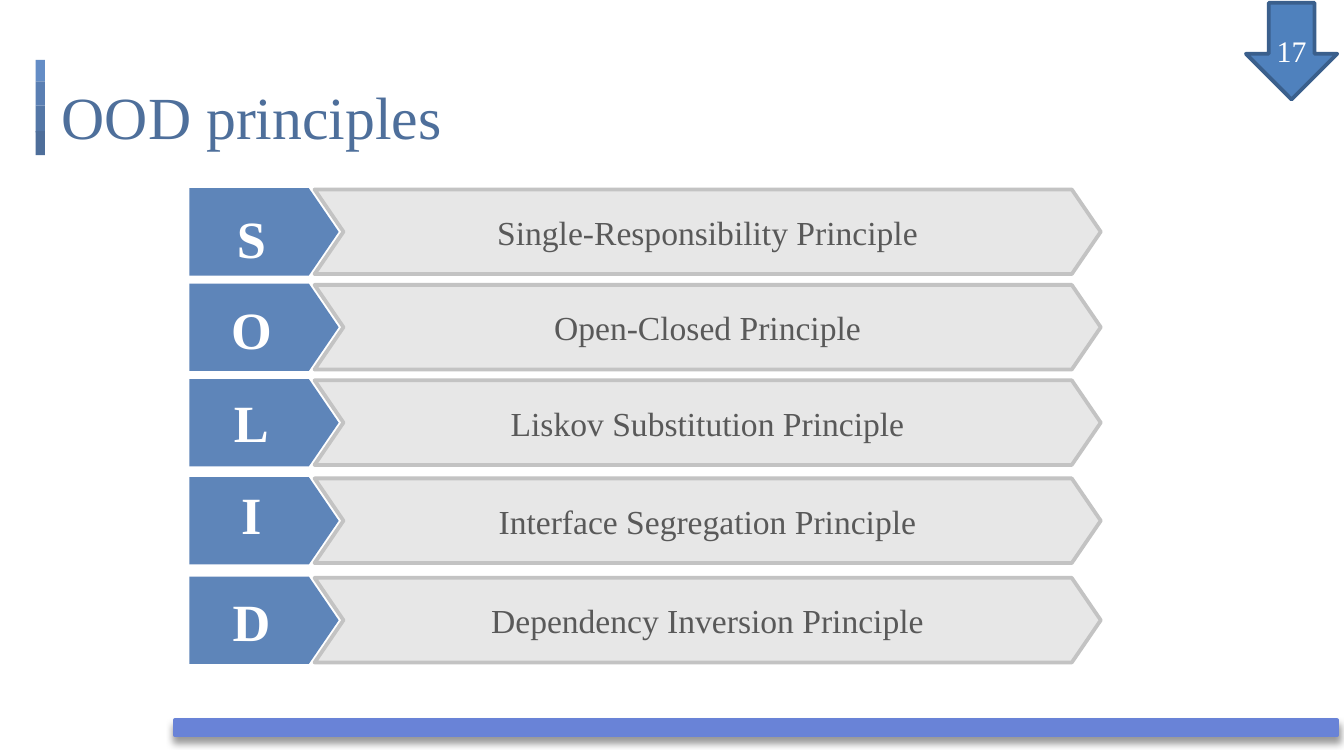
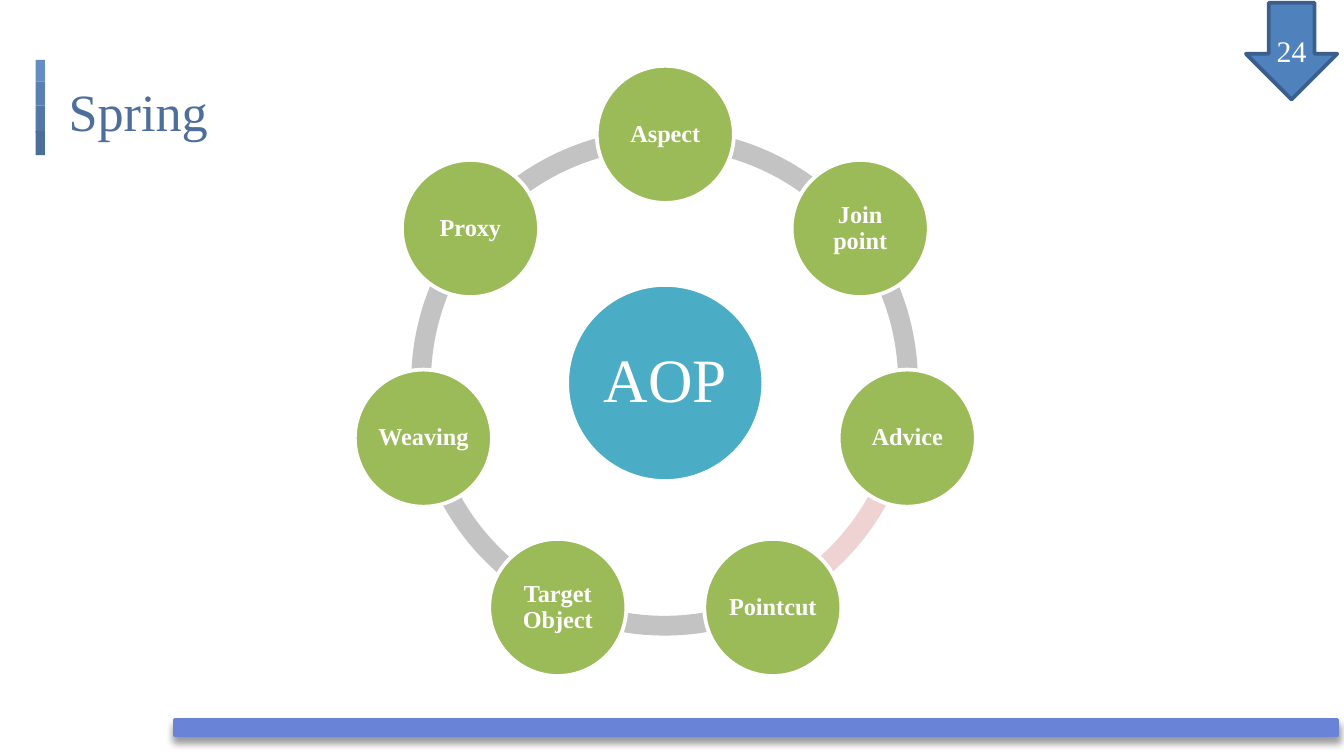
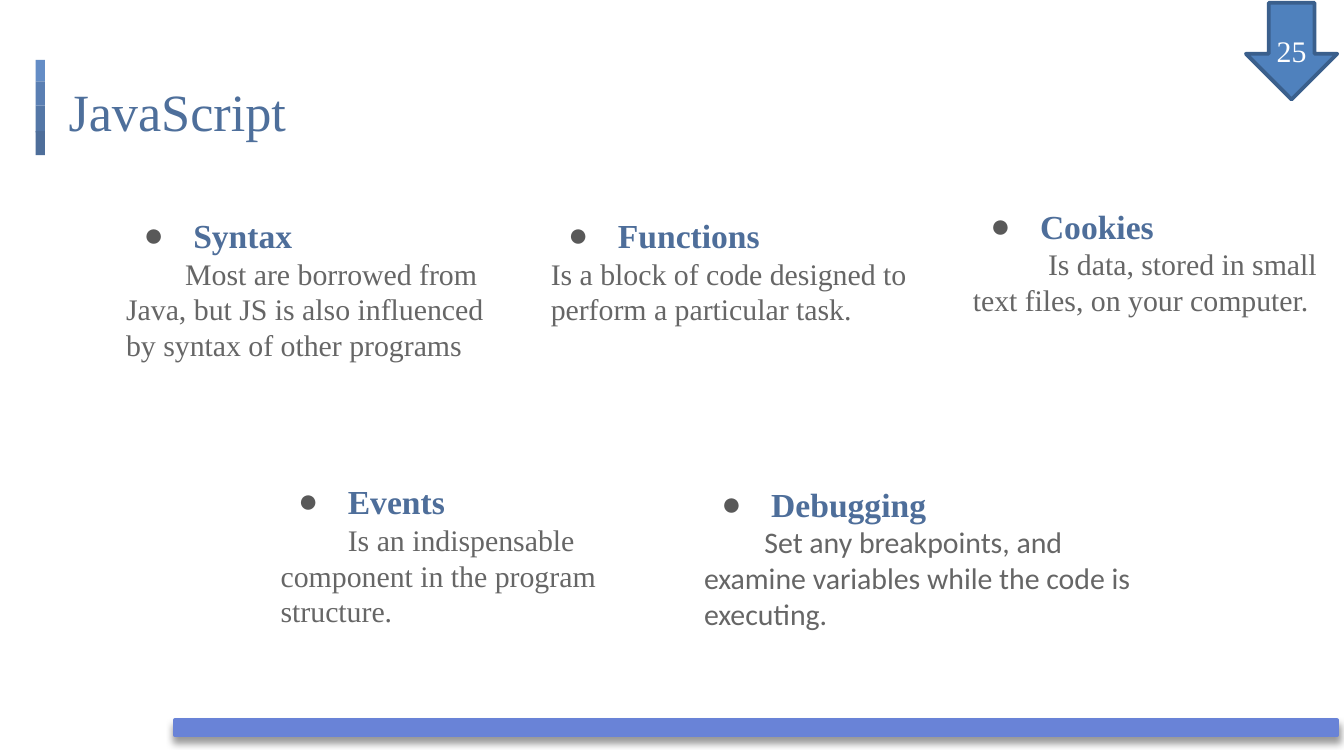
from dataclasses import dataclass
from math import cos, radians, sin

from pptx import Presentation
from pptx.dml.color import RGBColor
from pptx.enum.shapes import MSO_SHAPE
from pptx.enum.text import MSO_ANCHOR, MSO_AUTO_SIZE, PP_ALIGN
from pptx.oxml.ns import qn
from pptx.oxml.xmlchemy import OxmlElement
from pptx.shapes.autoshape import Shape
from pptx.slide import Slide
from pptx.text.text import TextFrame, _Paragraph
from pptx.util import Emu, Pt

# Shared scale, fonts and colours
PX = 9144  # 100 px to the inch
SERIF, SANS = "Times New Roman", "Calibri"
WHITE = "FFFFFF"
NAVY = "4E6E9A"
TITLE = "4E6F9B"
BAND = "6983D7"
BLUE = "5E85B9"
GREEN = "9BBB59"
TEAL = "4BACC6"
PINK = "EFD3D2"
SILVER = "C3C3C3"
PALE = "E7E7E7"
DARK = "595959"
GREY = "666666"


@dataclass(frozen=True)
class Box:
    left: int
    top: int
    width: int
    height: int


@dataclass(frozen=True)
class Style:
    size: float
    color: str
    bold: bool = False
    font: str = SERIF


@dataclass(frozen=True)
class Stripe:
    box: Box
    color: str


@dataclass(frozen=True)
class Row:
    letter: str
    name: str
    top: int
    text_top: int


@dataclass(frozen=True)
class Note:
    head: str
    body: str
    box: Box
    indent: int
    font: str = SERIF


STRIPES = [
    Stripe(Box(20, 85, 20, 7), "5477A7"),
    Stripe(Box(21, 103, 18, 7), NAVY),
    Stripe(Box(22, 49, 16, 7), "648DC6"),
    Stripe(Box(21, 66, 18, 7), "5A7FB3"),
]

ROWS = [
    Row("S", "Single-Responsibility Principle", 141, 155),
    Row("O", "Open-Closed Principle", 212, 223),
    Row("L", "Liskov Substitution Principle", 283, 292),
    Row("I", "Interface Segregation Principle", 356, 361),
    Row("D", "Dependency Inversion Principle", 430, 440),
]

NODES = ["Aspect", "Join point", "Advice", "Pointcut",
         "Target Object", "Weaving", "Proxy"]

NOTES = [
    Note("Functions", "Is a block of code designed to perform a particular task.",
         Box(400, 150, 296, 187), 0),
    Note("Events", "Is an indispensable component in the program structure.",
         Box(199, 348, 296, 187), 50),
    Note("Syntax", "Most are borrowed from Java, but JS is also influenced "
         "by syntax of other programs", Box(84, 150, 296, 187), 44),
    Note("Cookies", "Is data, stored in small text files, on your computer.",
         Box(714, 143, 296, 187), 56),
    Note("Debugging", "Set any breakpoints, and examine variables while the "
         "code is executing.", Box(514, 350, 356, 193), 45, SANS),
]


# Helpers
def px(value: float) -> Emu:
    return Emu(round(value * PX))


def place(box: Box) -> tuple[Emu, Emu, Emu, Emu]:
    return px(box.left), px(box.top), px(box.width), px(box.height)


def rgb(color: str) -> RGBColor:
    return RGBColor.from_string(color)


def frame_up(frame: TextFrame, pad_x: int = 10, pad_y: int = 10,
             anchor: MSO_ANCHOR = MSO_ANCHOR.TOP) -> None:
    frame.word_wrap = True
    frame.auto_size = MSO_AUTO_SIZE.NONE
    frame.vertical_anchor = anchor
    frame.margin_left = frame.margin_right = px(pad_x)
    frame.margin_top = frame.margin_bottom = px(pad_y)


def write(para: _Paragraph, text: str, style: Style) -> None:
    run = para.add_run()
    run.text = text
    run.font.name = style.font
    run.font.size = Pt(style.size)
    run.font.bold = style.bold
    run.font.color.rgb = rgb(style.color)


def draw(slide: Slide, kind: MSO_SHAPE, box: Box, fill: str,
         line: str | None = None, turn: int = 0,
         tune: tuple[float, ...] = ()) -> Shape:
    shape = slide.shapes.add_shape(kind, *place(box))
    shape.shadow.inherit = False
    shape.rotation = turn
    shape.fill.solid()
    shape.fill.fore_color.rgb = rgb(fill)
    if line:
        shape.line.color.rgb = rgb(line)
        shape.line.width = Pt(2)
    else:
        shape.line.fill.background()
    for index, value in enumerate(tune):
        shape.adjustments[index] = value
    return shape


def label(shape: Shape, text: str, style: Style, pad_x: int, pad_y: int,
          spacing: float | None = None) -> None:
    frame_up(shape.text_frame, pad_x, pad_y, MSO_ANCHOR.MIDDLE)
    para = shape.text_frame.paragraphs[0]
    para.alignment = PP_ALIGN.CENTER
    para.line_spacing = spacing
    write(para, text, style)


def line_box(slide: Slide, box: Box, text: str, style: Style,
             align: PP_ALIGN) -> None:
    frame = slide.shapes.add_textbox(*place(box)).text_frame
    frame_up(frame, anchor=MSO_ANCHOR.MIDDLE)
    frame.paragraphs[0].alignment = align
    write(frame.paragraphs[0], text, style)


def cast(shape: Shape) -> None:
    """Drop a soft shadow straight down."""
    shade = OxmlElement("a:outerShdw")
    for key, value in (("blurRad", Pt(4)), ("dist", Pt(3)),
                       ("dir", 90 * 60000), ("rotWithShape", 0)):
        shade.set(key, str(int(value)))
    color = OxmlElement("a:srgbClr")
    color.set("val", "000000")
    alpha = OxmlElement("a:alpha")
    alpha.set("val", "40000")
    color.append(alpha)
    shade.append(color)
    shape._element.spPr.find(qn("a:effectLst")).append(shade)


def indent(para: _Paragraph, left: int, first: int) -> None:
    props = para._p.get_or_add_pPr()
    props.set("marL", str(px(left)))
    props.set("indent", str(px(first)))


def bullet(para: _Paragraph) -> None:
    indent(para, 50, -37)
    tint = OxmlElement("a:buClr")
    color = OxmlElement("a:srgbClr")
    color.set("val", DARK)
    tint.append(color)
    face = OxmlElement("a:buFont")
    face.set("typeface", SERIF)
    mark = OxmlElement("a:buChar")
    mark.set("char", "●")
    para._p.get_or_add_pPr().extend([tint, face, mark])


# Shared slide base: title, stripes, band and page arrow
def start(deck: Presentation, text: str, page: int, left: int = 41,
          size: int = 28) -> Slide:
    slide = deck.slides.add_slide(deck.slide_layouts[5])
    title = slide.shapes.title
    title.left, title.top, title.width, title.height = place(
        Box(left, 49, 925, 62))
    frame_up(title.text_frame)
    para = title.text_frame.paragraphs[0]
    para.alignment = PP_ALIGN.LEFT
    write(para, text, Style(size, TITLE))

    for stripe in STRIPES:
        draw(slide, MSO_SHAPE.RECTANGLE, stripe.box, stripe.color, turn=270)
    cast(draw(slide, MSO_SHAPE.RECTANGLE, Box(130, 536, 865, 11), BAND, BAND))
    draw(slide, MSO_SHAPE.DOWN_ARROW, Box(927, 2, 68, 72), "4F81BD", "3A5F8C",
         tune=(0.5, 0.5))
    line_box(slide, Box(922, 16, 60, 43), str(page), Style(16, WHITE),
             PP_ALIGN.RIGHT)
    return slide


# Slide: SOLID rows
def solid(deck: Presentation) -> None:
    slide = start(deck, "OOD principles", 17, left=36, size=32)
    for row in ROWS:
        draw(slide, MSO_SHAPE.FLOWCHART_OFFPAGE_CONNECTOR,
             Box(164, row.top - 24, 65, 111), BLUE, turn=270)
        bar = draw(slide, MSO_SHAPE.CHEVRON, Box(234, row.top, 585, 63),
                   PALE, SILVER, tune=(0.342,))
        label(bar, row.name, Style(18, DARK), 10, 5)
        line_box(slide, Box(141, row.text_top, 92, 43), row.letter,
                 Style(28, WHITE, True), PP_ALIGN.CENTER)


# Slide: ring of AOP terms
def ring(deck: Presentation) -> None:
    slide = start(deck, "Spring", 24)
    step = 360 / len(NODES)
    mid_x, mid_y, reach, size = 495, 285, 185, 102
    angles = [270 + step * index for index in range(len(NODES))]

    for name, angle in zip(NODES, angles):
        # Angle adjustments count 60000 to the degree, on a 100000 base
        ends = [(turn % 360) * 0.6 for turn in (angle, angle + step)]
        draw(slide, MSO_SHAPE.BLOCK_ARC, Box(306, 96, 377, 377),
             PINK if name == "Advice" else SILVER, tune=(*ends, 0.039))

    hub = draw(slide, MSO_SHAPE.OVAL, Box(422, 212, 146, 146), TEAL, WHITE)
    label(hub, "AOP", Style(33, WHITE), 5, 5, 0.9)

    for name, angle in zip(NODES, angles):
        left = round(mid_x + reach * cos(radians(angle)) - size / 2)
        top = round(mid_y + reach * sin(radians(angle)) - size / 2)
        node = draw(slide, MSO_SHAPE.OVAL, Box(left, top, size, size),
                    GREEN, WHITE)
        label(node, name, Style(13, WHITE, True), 1, 1, 0.9)


# Slide: JavaScript notes
def script(deck: Presentation) -> None:
    slide = start(deck, "JavaScript", 25)
    for note in NOTES:
        frame = slide.shapes.add_textbox(*place(note.box)).text_frame
        frame_up(frame)
        head = frame.paragraphs[0]
        bullet(head)
        write(head, note.head, Style(18, NAVY, True))
        body = frame.add_paragraph()
        indent(body, 0, note.indent)
        write(body, note.body, Style(16, GREY, font=note.font))


def main() -> None:
    deck = Presentation()
    deck.slide_width = px(1000)
    deck.slide_height = Emu(deck.slide_width * 9 // 16)
    solid(deck)
    ring(deck)
    script(deck)
    deck.save("out.pptx")


if __name__ == "__main__":
    main()
